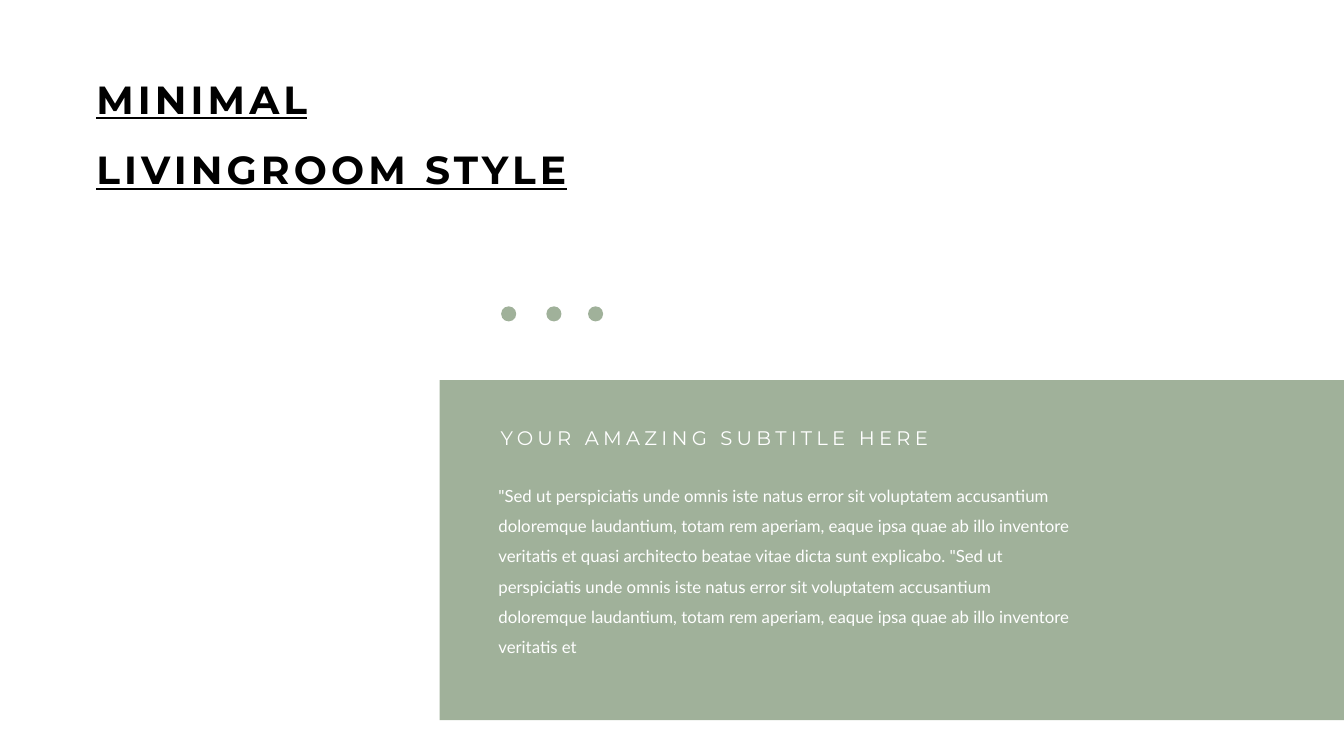
"""Build the minimal living room style slide."""
from dataclasses import dataclass

from pptx import Presentation
from pptx.dml.color import RGBColor
from pptx.enum.shapes import MSO_SHAPE
from pptx.enum.text import MSO_ANCHOR, PP_ALIGN
from pptx.util import Cm, Pt


@dataclass(frozen=True)
class Theme:
    sage: RGBColor = RGBColor(0xA0, 0xB1, 0x9A)
    black: RGBColor = RGBColor(0, 0, 0)
    white: RGBColor = RGBColor(255, 255, 255)
    heading_font: str = "Montserrat"
    body_font: str = "Lato"
    title_size: int = 28
    subtitle_size: int = 14
    body_size: int = 12
    tracking: int = 3


THEME = Theme()
TITLE = ["MINIMAL", "LIVINGROOM STYLE"]
SUBTITLE = "YOUR AMAZING SUBTITLE HERE"
BODY = (
    '"Sed ut perspiciatis unde omnis iste natus error sit voluptatem accusantium '
    "doloremque laudantium, totam rem aperiam, eaque ipsa quae ab illo inventore "
    'veritatis et quasi architecto beatae vitae dicta sunt explicabo. "Sed ut '
    "perspiciatis unde omnis iste natus error sit voluptatem accusantium "
    "doloremque laudantium, totam rem aperiam, eaque ipsa quae ab illo inventore "
    "veritatis et"
)
DOT_LEFTS = (12.63, 13.77, 14.82)


def add_filled(s, kind, left, top, width, height):
    """Add a sage shape without outline or shadow."""
    sp = s.shapes.add_shape(kind, Cm(left), Cm(top), Cm(width), Cm(height))
    sp.shadow.inherit = False
    sp.fill.solid()
    sp.fill.fore_color.rgb = THEME.sage
    sp.line.fill.background()


def add_text(s, box, lines, font, size, color, bold=False, underline=False,
             tracking=0, before=0):
    """Add a wrapping text box with one paragraph per line."""
    tf = s.shapes.add_textbox(*(Cm(v) for v in box)).text_frame
    tf.word_wrap = True
    tf.vertical_anchor = MSO_ANCHOR.TOP
    tf.text = "\n".join(lines)
    for p in tf.paragraphs:
        p.alignment = PP_ALIGN.LEFT
        p.line_spacing = 1.5
        p.space_before = Pt(before)
        p.font.name = font
        p.font.size = Pt(size)
        p.font.color.rgb = color
        p.font.bold = bold
        p.font.underline = underline
        if tracking:
            for r in p.runs:
                r._r.get_or_add_rPr().set("spc", str(tracking * 100))


def main():
    """Compose and save the slide."""
    prs = Presentation()
    prs.slide_width, prs.slide_height = Cm(33.87), Cm(19.05)
    s = prs.slides.add_slide(prs.slide_layouts[6])

    add_text(s, (2.18, 1.17, 15.29, 3.84), TITLE, THEME.heading_font,
             THEME.title_size, THEME.black, bold=True, underline=True,
             tracking=THEME.tracking)
    add_filled(s, MSO_SHAPE.RECTANGLE, 11.08, 9.58, 22.79, 8.57)
    add_text(s, (12.31, 11.86, 15.01, 5.77), [BODY], THEME.body_font,
             THEME.body_size, THEME.white, before=10)
    add_text(s, (12.37, 10.31, 14.88, 1.57), [SUBTITLE], THEME.heading_font,
             THEME.subtitle_size, THEME.white, tracking=THEME.tracking, before=10)
    for left in DOT_LEFTS:
        add_filled(s, MSO_SHAPE.OVAL, left, 7.72, 0.38, 0.38)

    prs.save("out.pptx")


if __name__ == "__main__":
    main()
